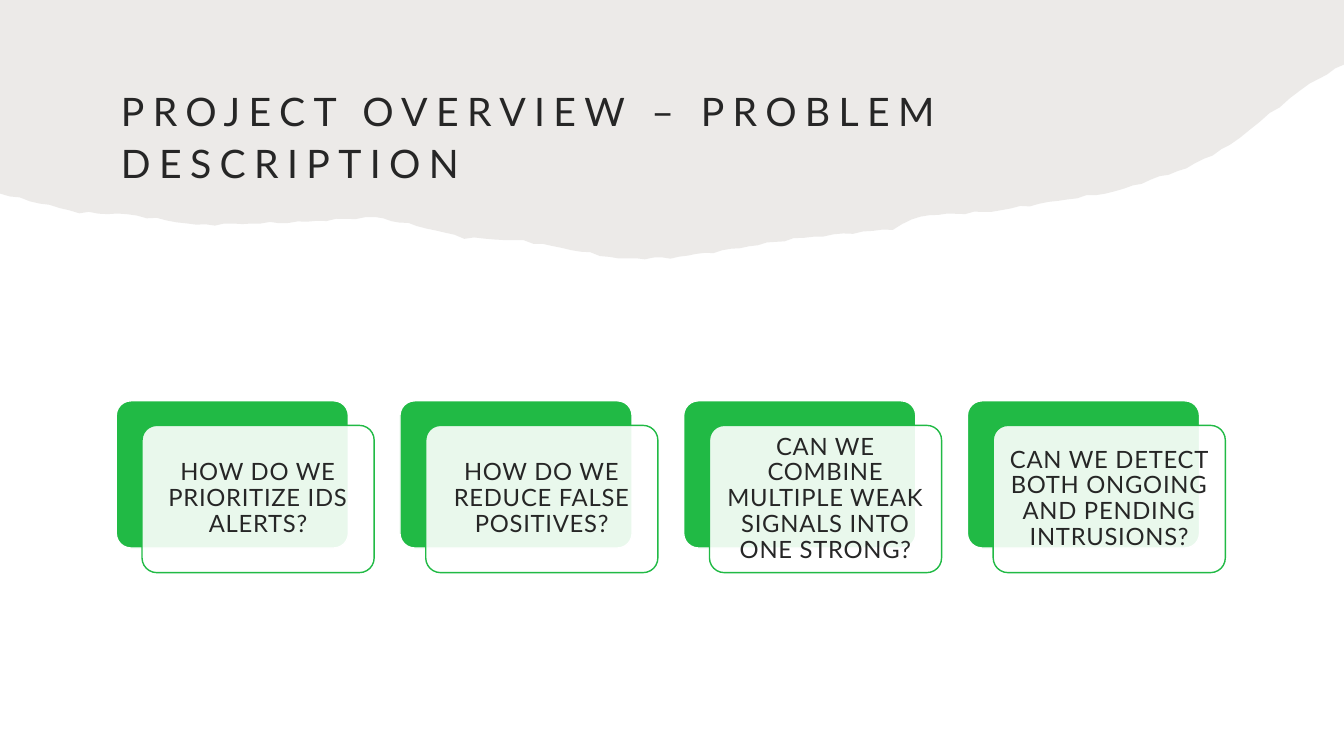
from itertools import pairwise
from math import ceil, sin

from lxml import etree
from pptx import Presentation
from pptx.dml.color import RGBColor
from pptx.enum.shapes import MSO_SHAPE
from pptx.enum.text import MSO_ANCHOR, PP_ALIGN
from pptx.oxml.ns import qn
from pptx.util import Cm, Pt

ROUNDED = MSO_SHAPE.ROUNDED_RECTANGLE
MIDDLE = MSO_ANCHOR.MIDDLE
LEFT, CENTER = PP_ALIGN.LEFT, PP_ALIGN.CENTER

COLORS = {"paper": "82766A", "green": "21BA45", "white": "FFFFFF", "ink": "262626"}
FONT = "Lato"
SLIDE_WIDTH, SLIDE_HEIGHT = Cm(33.87), Cm(19.05)

QUESTIONS = [
    "HOW DO WE PRIORITIZE IDS ALERTS?",
    "HOW DO WE REDUCE FALSE POSITIVES?",
    "CAN WE COMBINE MULTIPLE WEAK SIGNALS INTO ONE STRONG?",
    "CAN WE DETECT BOTH ONGOING AND PENDING INTRUSIONS?",
]

CARD_LEFT, CARD_TOP = Cm(2.93), Cm(10.1)
CARD_WIDTH, CARD_HEIGHT = Cm(5.85), Cm(3.71)
CARD_PITCH = Cm(7.15)
FRONT_SHIFT_X, FRONT_SHIFT_Y = Cm(0.65), Cm(0.62)

TEAR_DEPTH_AT = {
    0: 4.88, 2: 5.36, 3.2: 5.4, 4.95: 5.67, 7.5: 5.6, 9.45: 5.47,
    10.5: 5.69, 11.7: 5.99, 13.2: 6.07, 15.6: 6.52, 16.9: 6.5, 18.2: 6.32,
    20: 6.02, 22.5: 5.77, 23.2: 5.44, 25: 5.33, 28.1: 4.83, 29.9: 4.24,
    31: 3.66, 32: 2.87, 33: 2.11, 33.87: 1.63,
}
TEAR_STEP = 0.25
TEAR_ROUGHNESS = 0.03


def set_fill(shape, color, opacity=100):
    shape.fill.solid()
    shape.fill.fore_color.rgb = RGBColor.from_string(COLORS[color])
    if opacity < 100:
        tint = shape.fill._xPr.find(qn("a:solidFill"))[0]
        etree.SubElement(tint, qn("a:alpha")).set("val", str(opacity * 1000))


def write_text(shape, text, size, align=LEFT, tracking=0.0, line_spacing=1.0,
               space_before=0, inset=Cm(0.13)):
    frame = shape.text_frame
    frame.word_wrap = True
    frame.vertical_anchor = MIDDLE
    frame.margin_left = frame.margin_right = inset
    frame.margin_top = frame.margin_bottom = inset
    paragraph = frame.paragraphs[0]
    paragraph.alignment = align
    paragraph.line_spacing = line_spacing
    paragraph.space_before = Pt(space_before)
    run = paragraph.add_run()
    run.text = text
    run.font.name = FONT
    run.font.size = Pt(size)
    run.font.color.rgb = RGBColor.from_string(COLORS["ink"])
    run._r.get_or_add_rPr().set("spc", str(int(tracking * 100)))


def torn_edge():
    edge = []
    for (x, depth), (next_x, next_depth) in pairwise(TEAR_DEPTH_AT.items()):
        steps = ceil((next_x - x) / TEAR_STEP)
        for step in range(steps):
            share = step / steps
            edge_x = x + share * (next_x - x)
            ripple = TEAR_ROUGHNESS * sin(9 * edge_x) * sin(2 * edge_x)
            edge_depth = depth + share * (next_depth - depth) + ripple
            edge.append((Cm(edge_x), Cm(edge_depth)))
    edge.append((SLIDE_WIDTH, Cm(next_depth)))
    return edge


def add_torn_paper(slide):
    outline = slide.shapes.build_freeform(0, 0)
    outline.add_line_segments(torn_edge() + [(SLIDE_WIDTH, 0)], close=True)
    paper = outline.convert_to_shape()
    paper.shadow.inherit = False
    set_fill(paper, "paper", opacity=15)
    paper.line.fill.background()


def add_title(slide, text):
    title = slide.shapes.add_textbox(Cm(2.92), Cm(1.7), Cm(27.25), Cm(3.38))
    write_text(title, text, size=28, tracking=6, line_spacing=1.1)


def add_card(slide, left, top, fill, border, opacity=100):
    card = slide.shapes.add_shape(ROUNDED, left, top, CARD_WIDTH, CARD_HEIGHT)
    card.adjustments[0] = 0.1
    card.shadow.inherit = False
    set_fill(card, fill, opacity)
    card.line.color.rgb = RGBColor.from_string(COLORS[border])
    card.line.width = Pt(1)
    return card


def add_question(slide, index, question):
    left = CARD_LEFT + index * CARD_PITCH
    add_card(slide, left, CARD_TOP, "green", "white")
    front = add_card(slide, left + FRONT_SHIFT_X, CARD_TOP + FRONT_SHIFT_Y,
                     "white", "green", opacity=90)
    write_text(front, question, size=17, align=CENTER, tracking=0.5,
               line_spacing=0.9, space_before=7, inset=Cm(0.18))


def main():
    prs = Presentation()
    prs.slide_width, prs.slide_height = SLIDE_WIDTH, SLIDE_HEIGHT
    slide = prs.slides.add_slide(prs.slide_layouts[6])
    add_torn_paper(slide)
    add_title(slide, "PROJECT OVERVIEW – PROBLEM DESCRIPTION")
    for index, question in enumerate(QUESTIONS):
        add_question(slide, index, question)
    prs.save("out.pptx")


if __name__ == "__main__":
    main()
